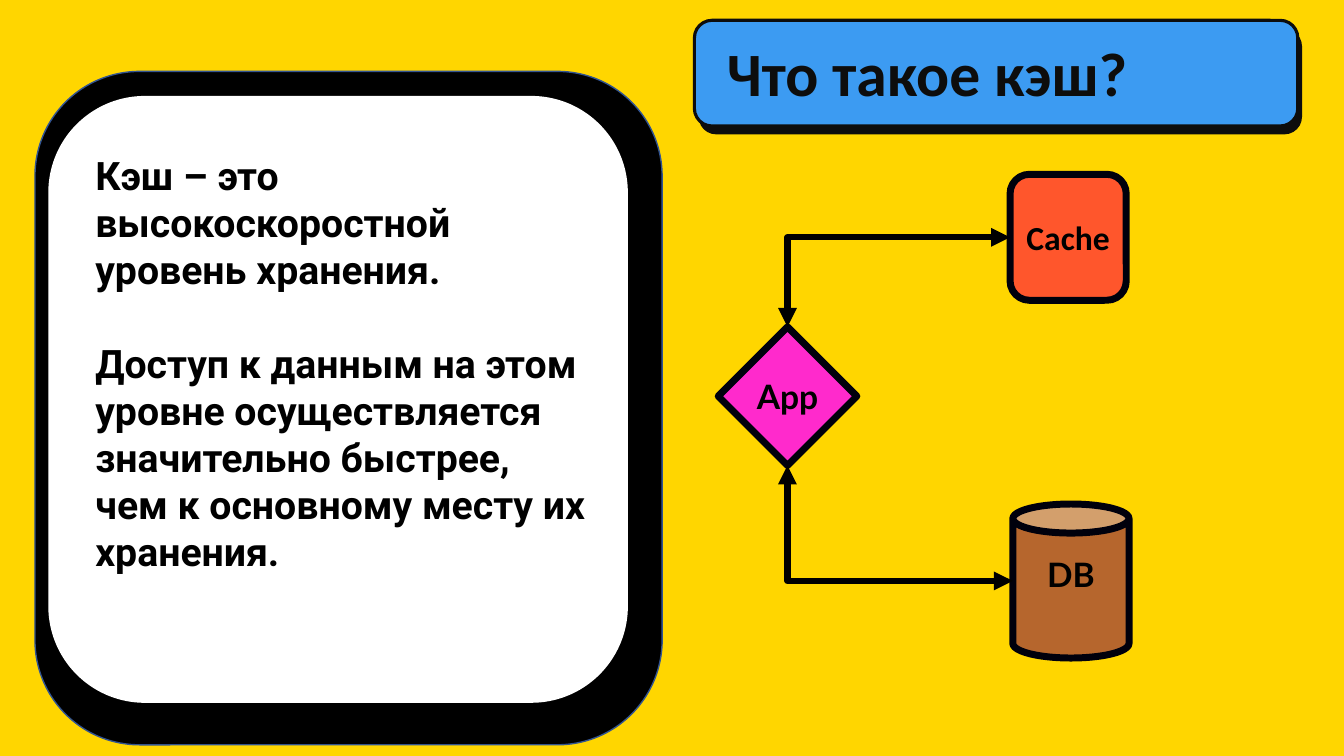
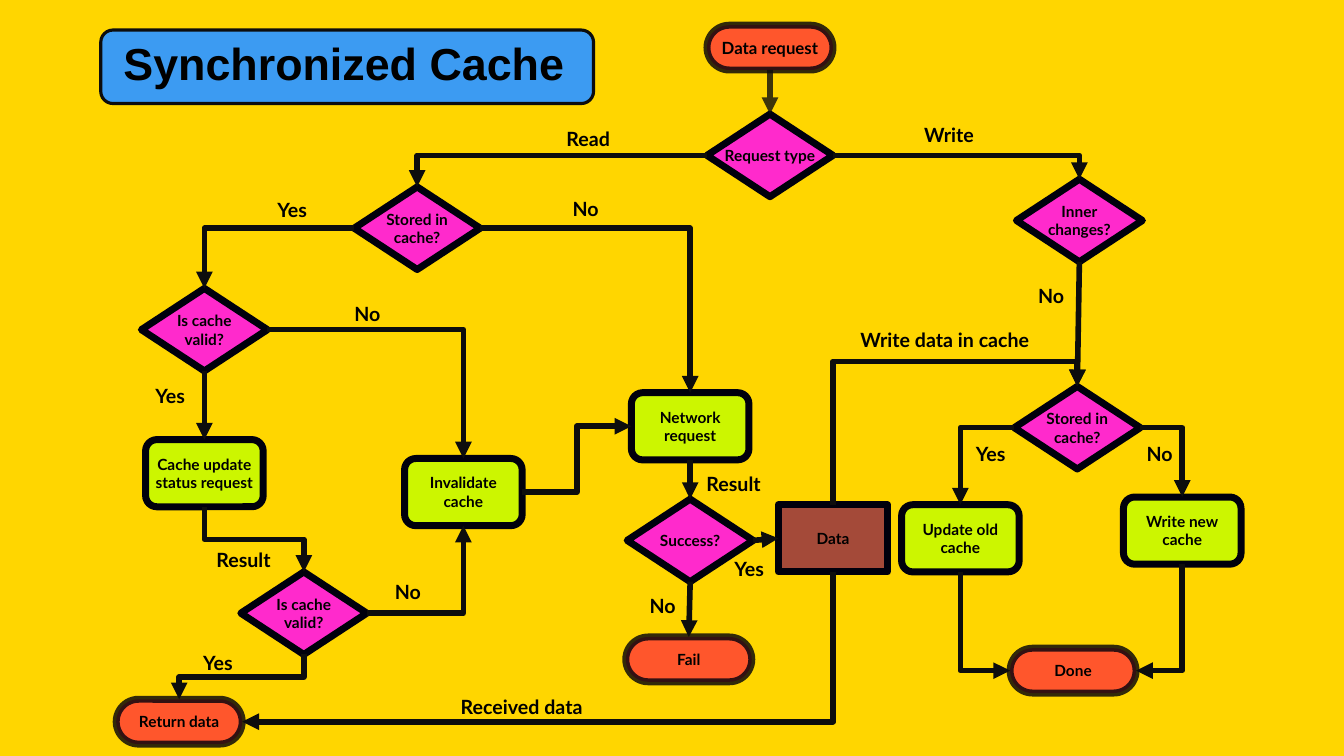
from dataclasses import dataclass
from enum import IntEnum

from lxml.etree import SubElement
from pptx import Presentation
from pptx.dml.color import RGBColor
from pptx.enum.shapes import MSO_CONNECTOR, MSO_SHAPE
from pptx.enum.text import MSO_ANCHOR, MSO_AUTO_SIZE, PP_ALIGN
from pptx.oxml.ns import qn
from pptx.util import Pt

COLORS = {
    "background": "FFD600", "banner": "3C9BF2", "ink": "0D0D0D",
    "outline": "00000C", "black": "000000", "white": "FFFFFF",
    "panel_edge": "325491", "red": "FF3737", "magenta": "FF00FF",
    "lime": "C0FF00", "brown": "A44A39",
}


class Side(IntEnum):
    """Sides numbered like the connection sites of the four-sided presets."""
    TOP = 0
    LEFT = 1
    BOTTOM = 2
    RIGHT = 3


OFFSETS = {Side.TOP: (0, -0.5), Side.LEFT: (-0.5, 0),
           Side.BOTTOM: (0, 0.5), Side.RIGHT: (0.5, 0)}
CAN_LEFT_SITE = 2


@dataclass(frozen=True)
class Kind:
    preset: MSO_SHAPE
    fill: str
    w: float
    h: float
    fill_alpha: int = 80
    line_alpha: int = 100
    radius: float | None = None


@dataclass(frozen=True)
class Node:
    """A flowchart shape placed by its centre."""
    text: str
    kind: Kind
    x: float
    y: float
    size: int = 11
    font: str = "Lato"

    def point(self, side: Side) -> tuple[float, float]:
        dx, dy = OFFSETS[side]
        return self.x + dx * self.kind.w, self.y + dy * self.kind.h

    def site(self, side: Side) -> int:
        if self.kind.preset == MSO_SHAPE.CAN and side == Side.LEFT:
            return CAN_LEFT_SITE
        return int(side)


@dataclass(frozen=True)
class Link:
    start: str
    leave: Side
    end: str
    enter: Side
    bend: float = 0.5
    alpha: int = 100


@dataclass(frozen=True)
class Label:
    text: str
    x: float
    y: float
    w: float = 66


DIAMOND = Kind(MSO_SHAPE.DIAMOND, "magenta", 90, 59)
PILL = Kind(MSO_SHAPE.ROUNDED_RECTANGLE, "red", 90, 32, line_alpha=80, radius=0.5)
STEP = Kind(MSO_SHAPE.ROUNDED_RECTANGLE, "lime", 84, 48)
STORE = Kind(MSO_SHAPE.RECTANGLE, "brown", 78, 48, fill_alpha=100)

OVERVIEW_NODES = {
    "cache": Node("Cache", Kind(MSO_SHAPE.ROUNDED_RECTANGLE, "red", 83, 90),
                  763, 169.5, 24, "Calibri"),
    "app": Node("App", Kind(MSO_SHAPE.DIAMOND, "magenta", 99, 99), 562.5, 283, 24),
    "db": Node("DB", Kind(MSO_SHAPE.CAN, "brown", 83, 110), 765, 415, 24),
}
OVERVIEW_LINKS = [
    Link("cache", Side.LEFT, "app", Side.TOP),
    Link("db", Side.LEFT, "app", Side.BOTTOM),
]

FLOW_NODES = {
    "request": Node("Data request", PILL, 550, 34, 12),
    "type": Node("Request type", DIAMOND, 550, 111),
    "read_stored": Node("Stored in\ncache?", DIAMOND, 298, 163),
    "valid": Node("Is cache\nvalid?", DIAMOND, 146, 235.5),
    "status": Node("Cache update\nstatus request", STEP, 146, 338),
    "still_valid": Node("Is cache\nvalid?", DIAMOND, 217, 438),
    "return": Node("Return data", PILL, 128, 515.5),
    "invalidate": Node("Invalidate\ncache", STEP, 331, 351.5),
    "network": Node("Network\nrequest", STEP, 493, 304.5),
    "success": Node("Success?", DIAMOND, 493, 386),
    "fail": Node("Fail", PILL, 492, 471),
    "data": Node("Data", STORE, 595, 384.5),
    "inner": Node("Inner\nchanges?", DIAMOND, 771, 157.5),
    "write_stored": Node("Stored in\ncache?", DIAMOND, 769.5, 305.5),
    "update": Node("Update old\ncache", STEP, 686, 384.5),
    "write_new": Node("Write new\ncache", STEP, 844.5, 379),
    "done": Node("Done", PILL, 766.5, 479),
}
FLOW_LINKS = [
    Link("request", Side.BOTTOM, "type", Side.TOP, alpha=80),
    Link("type", Side.RIGHT, "inner", Side.TOP),
    Link("type", Side.LEFT, "read_stored", Side.TOP),
    Link("read_stored", Side.RIGHT, "network", Side.TOP),
    Link("read_stored", Side.LEFT, "valid", Side.TOP),
    Link("valid", Side.RIGHT, "invalidate", Side.TOP),
    Link("valid", Side.BOTTOM, "status", Side.TOP),
    Link("status", Side.BOTTOM, "still_valid", Side.TOP),
    Link("still_valid", Side.RIGHT, "invalidate", Side.BOTTOM),
    Link("still_valid", Side.BOTTOM, "return", Side.TOP),
    Link("invalidate", Side.RIGHT, "network", Side.LEFT),
    Link("network", Side.BOTTOM, "success", Side.TOP),
    Link("success", Side.BOTTOM, "fail", Side.TOP),
    Link("success", Side.RIGHT, "data", Side.LEFT),
    Link("data", Side.TOP, "write_stored", Side.TOP, bend=1.21),
    Link("data", Side.BOTTOM, "return", Side.RIGHT),
    Link("inner", Side.BOTTOM, "write_stored", Side.TOP),
    Link("write_stored", Side.LEFT, "update", Side.TOP),
    Link("write_stored", Side.RIGHT, "write_new", Side.TOP),
    Link("write_new", Side.BOTTOM, "done", Side.RIGHT),
    Link("update", Side.BOTTOM, "done", Side.LEFT),
]
FLOW_LABELS = [
    Label("Read", 397.5, 87), Label("Write", 653, 84),
    Label("Yes", 191, 138), Label("No", 402, 137),
    Label("No", 246, 212), Label("Yes", 104, 271),
    Label("Result", 147.5, 388), Label("Yes", 138, 461.5),
    Label("No", 275, 410.5), Label("Received data", 322, 492.5, 128),
    Label("Result", 497.5, 333.5), Label("Yes", 517.5, 394.5),
    Label("No", 457, 421), Label("No", 734.5, 199.5),
    Label("Write data in cache", 607.5, 231, 140),
    Label("Yes", 690, 312), Label("No", 812, 312),
]


def rgb(name: str) -> RGBColor:
    return RGBColor.from_string(COLORS[name])


def set_alpha(parent, percent: int) -> None:
    """Make the solid fill directly under parent translucent."""
    if percent < 100:
        color = parent.find(qn("a:solidFill")).find(qn("a:srgbClr"))
        SubElement(color, qn("a:alpha")).set("val", str(percent * 1000))


def add_box(s, preset, x, y, w, h, fill: str, line: str | None = None,
            width: float = 1, fill_alpha: int = 100, line_alpha: int = 100):
    sp = s.shapes.add_shape(preset, Pt(x), Pt(y), Pt(w), Pt(h))
    sp.shadow.inherit = False
    sp.fill.solid()
    sp.fill.fore_color.rgb = rgb(fill)
    spPr = sp.element.spPr
    set_alpha(spPr, fill_alpha)
    if line:
        sp.line.color.rgb = rgb(line)
        sp.line.width = Pt(width)
        set_alpha(spPr.find(qn("a:ln")), line_alpha)
    else:
        sp.line.fill.background()
    return sp


def write(tf, text: str, font: str, size: float, color: str = "black",
          align=PP_ALIGN.LEFT, gap: float = 0) -> None:
    tf.text = text
    for i, p in enumerate(tf.paragraphs):
        p.alignment = align
        p.space_before = Pt(gap if i else 0)
        p.font.name = font
        p.font.size = Pt(size)
        p.font.bold = True
        p.font.color.rgb = rgb(color)


def add_text(s, text: str, x, y, w, h, font: str, size: float, gap: float = 0) -> None:
    tf = s.shapes.add_textbox(Pt(x), Pt(y), Pt(w), Pt(h)).text_frame
    tf.word_wrap = True
    write(tf, text, font, size, gap=gap)


def add_titled_slide(prs, text: str, banner: tuple, place: tuple, font: str,
                     size: float, color: str, shade: tuple | None = None):
    """Add a slide whose title lies on a blue banner, shaded by an optional offset."""
    s = prs.slides.add_slide(prs.slide_layouts[5])
    x, y, w, h = banner
    if shade:
        add_box(s, MSO_SHAPE.ROUNDED_RECTANGLE, x + shade[0], y + shade[1], w, h, "ink")
    add_box(s, MSO_SHAPE.ROUNDED_RECTANGLE, x, y, w, h, "banner", "ink", 2.25)
    title = s.shapes.title
    title.element.getparent().append(title.element)
    title.left, title.top, title.width, title.height = map(Pt, place)
    tf = title.text_frame
    tf.auto_size = MSO_AUTO_SIZE.NONE
    tf.vertical_anchor = MSO_ANCHOR.TOP
    write(tf, text, font, size, color)
    return s


def add_node(s, node: Node):
    k = node.kind
    sp = add_box(s, k.preset, node.x - k.w / 2, node.y - k.h / 2, k.w, k.h, k.fill,
                 "outline", 5, k.fill_alpha, k.line_alpha)
    if k.radius is not None:
        sp.adjustments[0] = k.radius
    tf = sp.text_frame
    tf.word_wrap = False
    tf.vertical_anchor = MSO_ANCHOR.MIDDLE
    tf.margin_left = tf.margin_right = tf.margin_top = tf.margin_bottom = 0
    if k.preset == MSO_SHAPE.CAN:
        tf.margin_bottom = Pt(20)
    write(tf, node.text, node.font, node.size, align=PP_ALIGN.CENTER)
    return sp


def bend_connector(cxn, link: Link, start: tuple, end: tuple, turns: int) -> None:
    """Shape an elbow with one or two turns that leaves start along link.leave."""
    (x1, y1), (x2, y2) = start, end
    w, h = abs(x2 - x1), abs(y2 - y1)
    upright = link.leave in (Side.TOP, Side.BOTTOM)
    flip_h, flip_v = (y2 < y1, x2 > x1) if upright else (x2 < x1, y2 < y1)
    if upright:
        w, h = h, w
    cxn.left, cxn.top = Pt((x1 + x2 - w) / 2), Pt((y1 + y2 - h) / 2)
    cxn.width, cxn.height = Pt(w), Pt(h)
    xfrm = cxn.element.spPr.find(qn("a:xfrm"))
    xfrm.set("rot", str(90 * 60000 if upright else 0))
    xfrm.set("flipH", str(int(flip_h)))
    xfrm.set("flipV", str(int(flip_v)))
    geom = cxn.element.spPr.find(qn("a:prstGeom"))
    geom.set("prst", f"bentConnector{turns + 1}")
    if turns == 2:
        guide = SubElement(geom.find(qn("a:avLst")), qn("a:gd"))
        guide.set("name", "adj1")
        guide.set("fmla", f"val {round(link.bend * 100000)}")


def add_link(s, link: Link, nodes: dict, shapes: dict, color: str, width: float,
             arrows: tuple) -> None:
    a, b = nodes[link.start], nodes[link.end]
    start, end = a.point(link.leave), b.point(link.enter)
    parallel = link.leave % 2 == link.enter % 2
    nearly_straight = parallel and min(abs(start[0] - end[0]), abs(start[1] - end[1])) < 3
    route = MSO_CONNECTOR.STRAIGHT if nearly_straight else MSO_CONNECTOR.ELBOW
    cxn = s.shapes.add_connector(route, *map(Pt, start + end))
    cxn.begin_connect(shapes[link.start], a.site(link.leave))
    cxn.end_connect(shapes[link.end], b.site(link.enter))
    if not nearly_straight:
        bend_connector(cxn, link, start, end, 2 if parallel else 1)
    cxn.line.color.rgb = rgb(color)
    cxn.line.width = Pt(width)
    spPr = cxn.element.spPr
    ln = spPr.find(qn("a:ln"))
    set_alpha(ln, link.alpha)
    for arrow in arrows:
        SubElement(ln, qn(f"a:{arrow}")).set("type", "triangle")
    SubElement(spPr, qn("a:effectLst"))


def add_flow(s, nodes: dict, links: list, color: str, width: float,
             arrows: tuple = ("tailEnd",)) -> None:
    shapes = {name: add_node(s, node) for name, node in nodes.items()}
    for link in links:
        add_link(s, link, nodes, shapes, color, width, arrows)


def build_overview(prs) -> None:
    s = add_titled_slide(prs, "Что такое кэш?", (496, 14.5, 431, 75.5),
                         (512, 21, 448, 60), "Calibri", 44, "ink", (3, 6))
    panel = MSO_SHAPE.ROUNDED_RECTANGLE
    add_box(s, panel, 25, 51, 448, 481, "black", "panel_edge")
    add_box(s, panel, 34.5, 68.5, 414, 433.5, "white")
    add_text(s, "Кэш – это высокоскоростной уровень хранения.\n"
                "Доступ к данным на этом уровне осуществляется значительно быстрее, "
                "чем к основному месту их хранения.",
             61, 104.5, 366.5, 346, "Roboto", 28, gap=33.5)
    add_flow(s, OVERVIEW_NODES, OVERVIEW_LINKS, "black", 4.5, ("headEnd", "tailEnd"))


def build_synchronized_cache(prs) -> None:
    s = add_titled_slide(prs, "Synchronized Сache", (72, 21.5, 352, 52.5),
                         (81, 22, 352, 46), "Arial", 32, "black")
    add_flow(s, FLOW_NODES, FLOW_LINKS, "ink", 4)
    for label in FLOW_LABELS:
        add_text(s, label.text, label.x, label.y, label.w, 24, "Lato", 14)


def main() -> None:
    prs = Presentation()
    prs.slide_width, prs.slide_height = Pt(960), Pt(540)
    fill = prs.slide_master.background.fill
    fill.solid()
    fill.fore_color.rgb = rgb("background")
    build_overview(prs)
    build_synchronized_cache(prs)
    prs.save("out.pptx")


if __name__ == "__main__":
    main()
